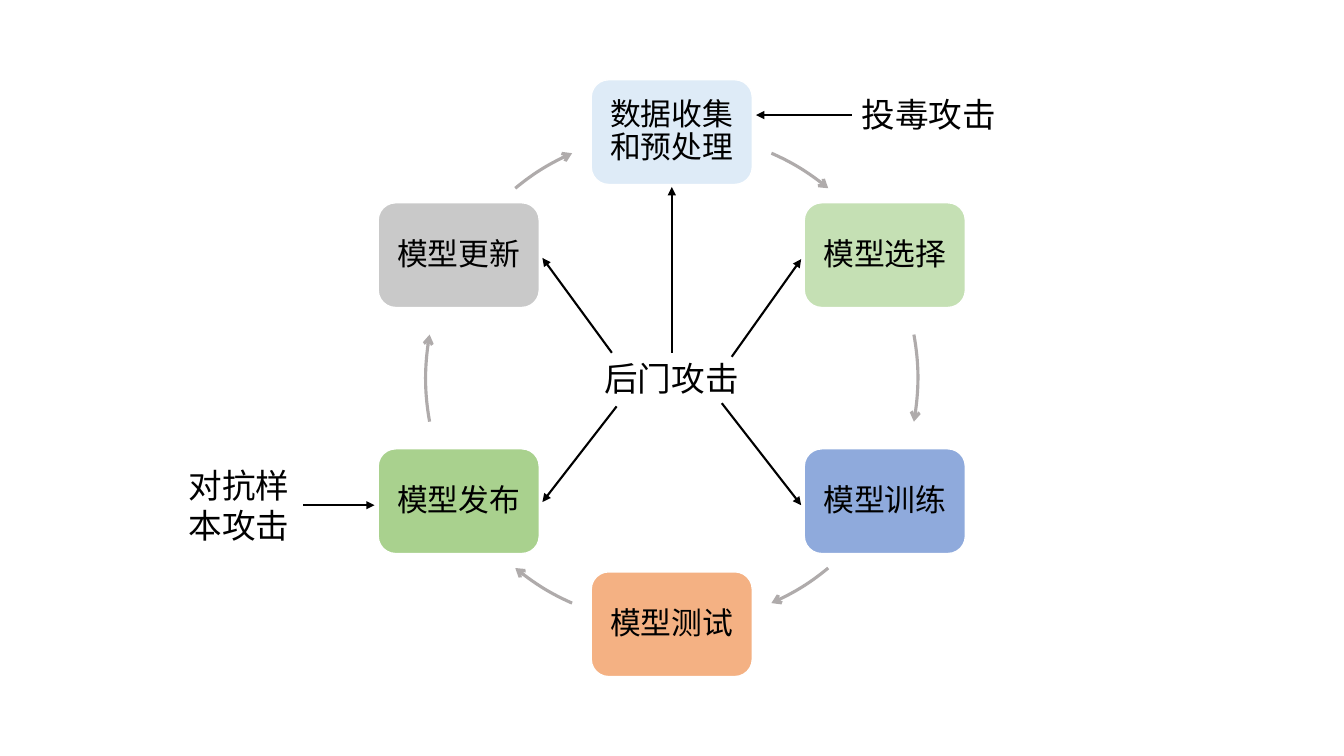
from dataclasses import dataclass
from math import cos, radians, sin, tan

from lxml import etree
from pptx import Presentation
from pptx.dml.color import RGBColor
from pptx.enum.shapes import MSO_CONNECTOR, MSO_SHAPE
from pptx.enum.text import MSO_ANCHOR, PP_ALIGN
from pptx.oxml.ns import qn
from pptx.util import Cm, Pt

ROUNDED = MSO_SHAPE.ROUNDED_RECTANGLE
STRAIGHT = MSO_CONNECTOR.STRAIGHT
MIDDLE = MSO_ANCHOR.MIDDLE
CENTER = PP_ALIGN.CENTER


@dataclass(frozen=True)
class Theme:
    text: str = "000000"
    outline: str = "FFFFFF"
    cycle_arrow: str = "AFABAB"
    attack_arrow: str = "000000"
    stage_font: str = "Times New Roman"
    label_font: str = "Noto Sans CJK SC"
    stage_size: int = 22
    label_size: int = 24


@dataclass(frozen=True)
class Stage:
    name: str
    fill: str
    arc_start: float
    arc_end: float


@dataclass(frozen=True)
class Label:
    text: str
    left: float
    top: float
    width: float
    height: float


@dataclass(frozen=True)
class Arrow:
    start_x: float
    start_y: float
    end_x: float
    end_y: float


THEME = Theme()
CENTER_X, CENTER_Y, RADIUS = 16.93, 9.53, 6.2
BOX_WIDTH, BOX_HEIGHT = 4.06, 2.64
STAGE_STEP = 60

# Clockwise from the top; arc angles lead on to the next stage.
STAGES = [
    Stage("数据收集和预处理", "DEEBF7", 23.9, 39.5),
    Stage("模型选择", "C5E0B4", 79.8, 100.2),
    Stage("模型训练", "8FAADC", 140.5, 156.1),
    Stage("模型测试", "F4B183", 203.9, 219.5),
    Stage("模型发布", "A9D18E", 259.8, 280.2),
    Stage("模型更新", "C9C9C9", 320.5, 336.1),
]
LABELS = [
    Label("后门攻击", 14.98, 8.89, 3.91, 1.28),
    Label("投毒攻击", 21.46, 2.24, 3.91, 1.28),
    Label("对抗样本攻击", 4.5, 11.58, 3.15, 2.31),
]
ARROWS = [
    Arrow(7.64, 12.73, 9.44, 12.73),
    Arrow(21.46, 2.9, 19.05, 2.9),
    Arrow(16.93, 8.89, 16.93, 4.71),
    Arrow(18.44, 8.99, 20.19, 6.53),
    Arrow(18.19, 10.16, 20.19, 12.73),
    Arrow(15.54, 10.24, 13.67, 12.65),
    Arrow(15.42, 8.89, 13.67, 6.5),
]


def cycle_point(angle: float) -> tuple[float, float]:
    """Return the point on the cycle at degrees clockwise from the top."""
    turn = radians(angle)
    return CENTER_X + RADIUS * sin(turn), CENTER_Y - RADIUS * cos(turn)


def arc_curve(start: float, end: float) -> list[tuple[float, float]]:
    """Return the four Bezier points of an arc of the cycle."""
    reach = RADIUS * 4 / 3 * tan(radians(end - start) / 4)
    (x1, y1), (x2, y2) = cycle_point(start), cycle_point(end)
    first, last = radians(start), radians(end)
    return [
        (x1, y1),
        (x1 + reach * cos(first), y1 + reach * sin(first)),
        (x2 - reach * cos(last), y2 - reach * sin(last)),
        (x2, y2),
    ]


def style_arrow(shape, color: str, width: float, head: str) -> None:
    shape.line.color.rgb = RGBColor.from_string(color)
    shape.line.width = Pt(width)
    etree.SubElement(shape.line._get_or_add_ln(), qn("a:tailEnd"), type=head)


def add_run(paragraph, text: str, font: str, size: int) -> None:
    run = paragraph.add_run()
    run.text = text
    run.font.name = font
    run.font.size = Pt(size)
    run.font.color.rgb = RGBColor.from_string(THEME.text)


def add_stage(slide, stage: Stage, angle: float) -> None:
    x, y = cycle_point(angle)
    shape = slide.shapes.add_shape(
        ROUNDED, Cm(x - BOX_WIDTH / 2), Cm(y - BOX_HEIGHT / 2), Cm(BOX_WIDTH), Cm(BOX_HEIGHT)
    )
    shape.shadow.inherit = False
    shape.fill.solid()
    shape.fill.fore_color.rgb = RGBColor.from_string(stage.fill)
    shape.line.color.rgb = RGBColor.from_string(THEME.outline)
    shape.line.width = Pt(1)
    frame = shape.text_frame
    frame.word_wrap = True
    frame.vertical_anchor = MIDDLE
    frame.margin_left = frame.margin_right = Cm(0.23)
    frame.margin_top = frame.margin_bottom = Cm(0.23)
    paragraph = frame.paragraphs[0]
    paragraph.alignment = CENTER
    paragraph.line_spacing = 0.9
    add_run(paragraph, stage.name, THEME.stage_font, THEME.stage_size)


def add_cycle_arrow(slide, stage: Stage) -> None:
    """Draw a curved arrow in a frame that spans the whole cycle."""
    left, top = CENTER_X - RADIUS, CENTER_Y - RADIUS
    right, bottom = CENTER_X + RADIUS, CENTER_Y + RADIUS
    builder = slide.shapes.build_freeform(Cm(left), Cm(top))
    builder.add_line_segments([(Cm(right), Cm(top)), (Cm(right), Cm(bottom))], close=False)
    shape = builder.convert_to_shape()
    outline = next(shape._element.iter(qn("a:path")))
    for segment in list(outline):
        outline.remove(segment)
    move = etree.SubElement(outline, qn("a:moveTo"))
    curve = etree.SubElement(outline, qn("a:cubicBezTo"))
    points = arc_curve(stage.arc_start, stage.arc_end)
    for parent, (x, y) in zip((move, curve, curve, curve), points):
        etree.SubElement(parent, qn("a:pt"), x=str(Cm(x - left)), y=str(Cm(y - top)))
    shape.shadow.inherit = False
    shape.fill.background()
    style_arrow(shape, THEME.cycle_arrow, 2.25, "arrow")


def add_label(slide, label: Label) -> None:
    box = slide.shapes.add_textbox(
        Cm(label.left), Cm(label.top), Cm(label.width), Cm(label.height)
    )
    box.text_frame.word_wrap = True
    add_run(box.text_frame.paragraphs[0], label.text, THEME.label_font, THEME.label_size)


def add_attack_arrow(slide, arrow: Arrow) -> None:
    connector = slide.shapes.add_connector(
        STRAIGHT, Cm(arrow.start_x), Cm(arrow.start_y), Cm(arrow.end_x), Cm(arrow.end_y)
    )
    style_arrow(connector, THEME.attack_arrow, 1.5, "triangle")
    etree.SubElement(connector._element.spPr, qn("a:effectLst"))


def main() -> None:
    presentation = Presentation()
    presentation.slide_width = Cm(33.87)
    presentation.slide_height = Cm(19.05)
    slide = presentation.slides.add_slide(presentation.slide_layouts[6])
    for index, stage in enumerate(STAGES):
        add_stage(slide, stage, index * STAGE_STEP)
        add_cycle_arrow(slide, stage)
    for label in LABELS:
        add_label(slide, label)
    for arrow in ARROWS:
        add_attack_arrow(slide, arrow)
    presentation.save("out.pptx")


if __name__ == "__main__":
    main()
